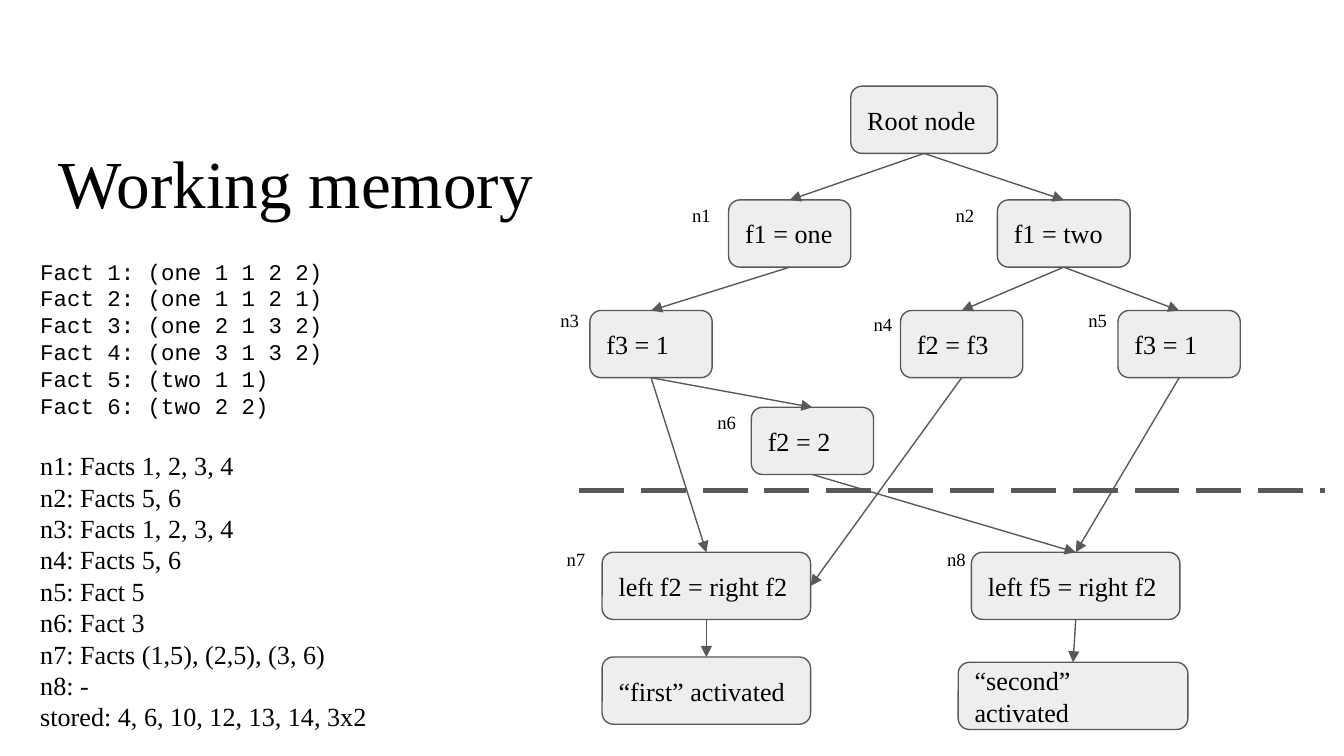
from dataclasses import dataclass

from lxml import etree
from pptx import Presentation
from pptx import util as u
from pptx.dml.color import RGBColor
from pptx.enum import dml, shapes, text
from pptx.oxml import ns


@dataclass
class Theme:
    ink: str = "000000"
    fill: str = "EEEEEE"
    edge: str = "595959"
    serif: str = "Times New Roman"
    mono: str = "Courier New"
    head: int = 36
    node: int = 14
    fact: int = 12
    tag: int = 10


look = Theme()


def put(shape, words, size, font=look.serif, anchor=text.MSO_ANCHOR.TOP, gap=0):
    """Add one left-aligned paragraph to a shape."""
    frame = shape.text_frame
    frame.word_wrap = True
    frame.auto_size = text.MSO_AUTO_SIZE.NONE
    frame.vertical_anchor = anchor
    for side in ("left", "top", "right", "bottom"):
        setattr(frame, f"margin_{side}", u.Cm(0.25))
    para = frame.paragraphs[0] if not frame.text else frame.add_paragraph()
    para.alignment = text.PP_ALIGN.LEFT
    para.space_before = u.Pt(gap)
    props = para._p.get_or_add_pPr()
    props.set("marL", "0")
    props.set("indent", "0")
    etree.SubElement(props, ns.qn("a:buNone"))
    run = para.add_run()
    run.text = words
    run.font.size = u.Pt(size)
    run.font.name = font
    run.font.color.rgb = RGBColor.from_string(look.ink)


def draw(start, end, width):
    """Add a plain straight line between two points in centimetres."""
    line = slide.shapes.add_connector(
        shapes.MSO_CONNECTOR.STRAIGHT, *map(u.Cm, start + end))
    line.line.color.rgb = RGBColor.from_string(look.edge)
    line.line.width = u.Pt(width)
    etree.SubElement(line._element.spPr, ns.qn("a:effectLst"))
    return line


deck = Presentation()
deck.slide_width, deck.slide_height = u.Cm(25.4), u.Cm(14.29)
slide = deck.slides.add_slide(deck.slide_layouts[1])

# Title and list
title, body = slide.placeholders
for holder, spot in ((title, (0.86, 2.06, 23.67, 2.39)),
                     (body, (0.51, 4.62, 9.4, 9.35))):
    holder.left, holder.top, holder.width, holder.height = map(u.Cm, spot)
put(title, "Working memory", look.head, anchor=text.MSO_ANCHOR.BOTTOM)

facts = ["one 1 1 2 2", "one 1 1 2 1", "one 2 1 3 2", "one 3 1 3 2",
         "two 1 1", "two 2 2"]
for num, fact in enumerate(facts, 1):
    put(body, f"Fact {num}: ({fact})", look.fact, look.mono)

notes = ["n1: Facts 1, 2, 3, 4", "n2: Facts 5, 6", "n3: Facts 1, 2, 3, 4",
         "n4: Facts 5, 6", "n5: Fact 5", "n6: Fact 3",
         "n7: Facts (1,5), (2,5), (3, 6)", "n8: -",
         "stored: 4, 6, 10, 12, 13, 14, 3x2"]
for row, note in enumerate(notes):
    put(body, note, look.node, gap=0 if row else 16.5)

# Nodes: name, words, left, top, width
nodes = [
    ("root", "Root node", 16.08, 1.63, 2.77),
    ("n1", "f1 = one", 13.77, 3.78, 2.31),
    ("n2", "f1 = two", 18.85, 3.78, 2.51),
    ("n3", "f3 = 1", 11.15, 5.87, 2.31),
    ("n4", "f2 = f3", 17.02, 5.87, 2.31),
    ("n5", "f3 = 1", 21.13, 5.87, 2.31),
    ("n6", "f2 = 2", 14.2, 7.7, 2.31),
    ("n7", "left f2 = right f2", 11.38, 10.44, 3.94),
    ("n8", "left f5 = right f2", 18.36, 10.44, 3.94),
    ("first", "“first” activated", 11.38, 12.42, 3.94),
    ("second", "“second” activated", 18.11, 12.52, 4.34),
]
boxes = {}
for name, words, left, top, width in nodes:
    box = slide.shapes.add_shape(
        shapes.MSO_SHAPE.ROUNDED_RECTANGLE,
        *map(u.Cm, (left, top, width, 1.27)))
    box.shadow.inherit = False
    box.fill.solid()
    box.fill.fore_color.rgb = RGBColor.from_string(look.fill)
    box.line.color.rgb = RGBColor.from_string(look.edge)
    box.line.width = u.Pt(0.75)
    put(box, words, look.node, anchor=text.MSO_ANCHOR.MIDDLE)
    boxes[name] = box

# Arrows from the bottom of one node to a side of the next
TOP, BASE, RIGHT = 0, 2, 3
links = [
    ("root", "n1", TOP), ("root", "n2", TOP), ("n1", "n3", TOP),
    ("n3", "n6", TOP), ("n2", "n4", TOP), ("n2", "n5", TOP),
    ("n3", "n7", TOP), ("n4", "n7", RIGHT), ("n7", "first", TOP),
    ("n6", "n8", TOP), ("n5", "n8", TOP), ("n8", "second", TOP),
]
for start, end, side in links:
    arrow = draw((0, 0), (1, 1), 0.75)
    arrow.begin_connect(boxes[start], BASE)
    arrow.end_connect(boxes[end], side)
    etree.SubElement(arrow.line._get_or_add_ln(), ns.qn("a:tailEnd"),
                     type="triangle", w="med", len="med")

# Dashed divider
rule = draw((10.95, 9.27), (25.04, 9.27), 3)
rule.line.dash_style = dml.MSO_LINE.LONG_DASH

# Node tags
tags = [(12.83, 3.61), (17.81, 3.61), (10.34, 5.59), (16.26, 5.66),
        (20.32, 5.59), (13.31, 7.52), (10.46, 10.11), (17.65, 10.11)]
for num, (left, top) in enumerate(tags, 1):
    tag = slide.shapes.add_textbox(*map(u.Cm, (left, top, 1.04, 0.81)))
    put(tag, f"n{num}", look.tag)

deck.save("out.pptx")
